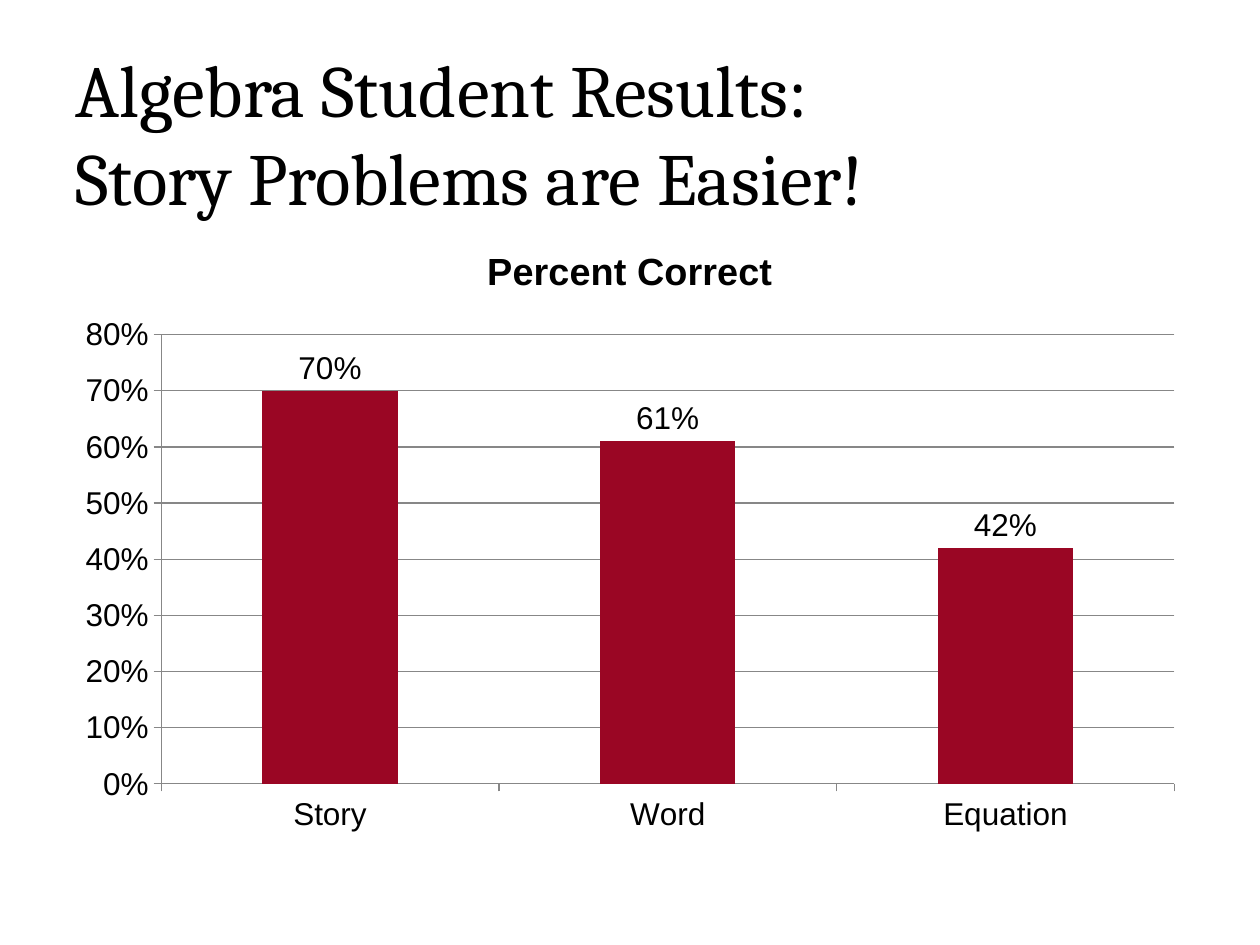
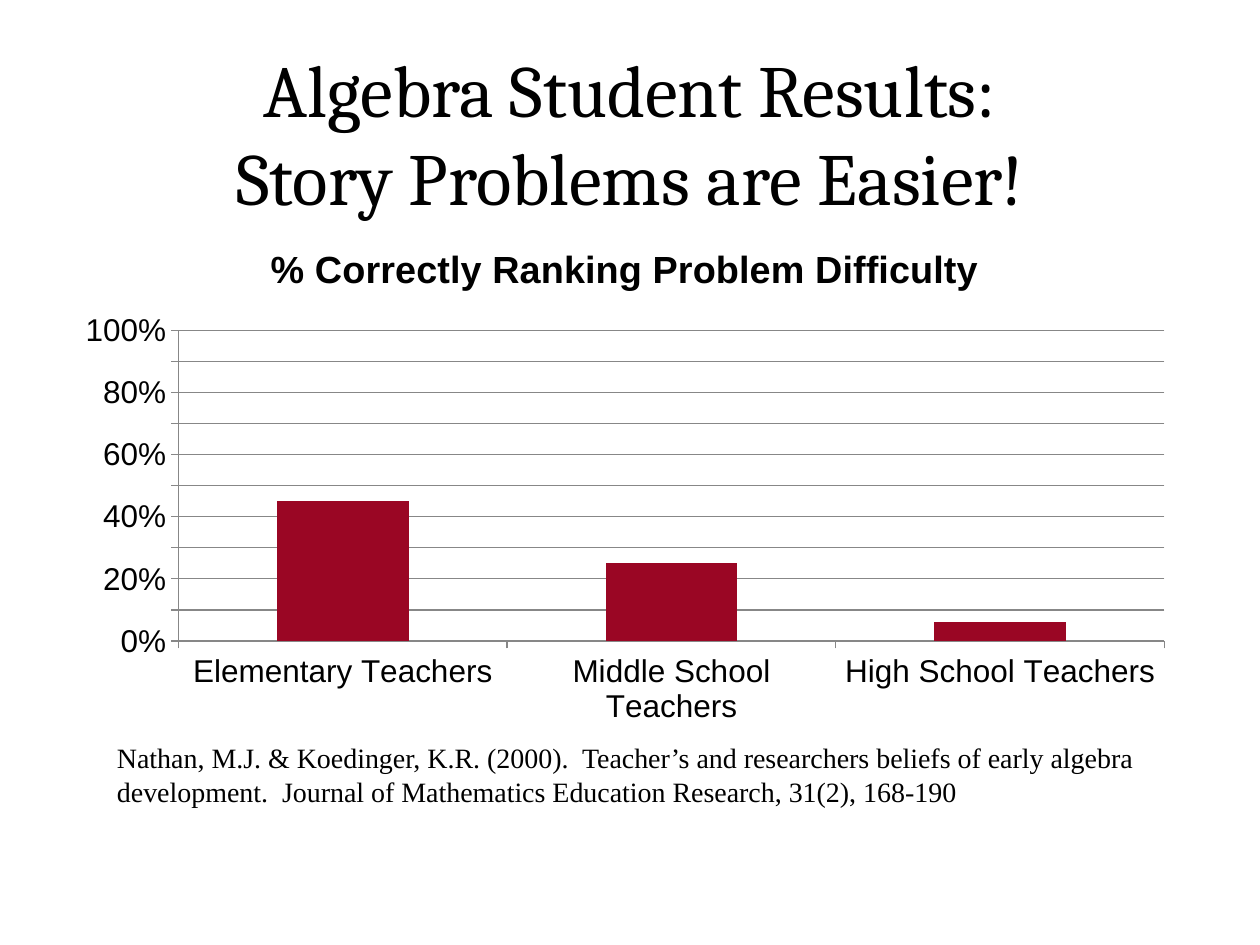
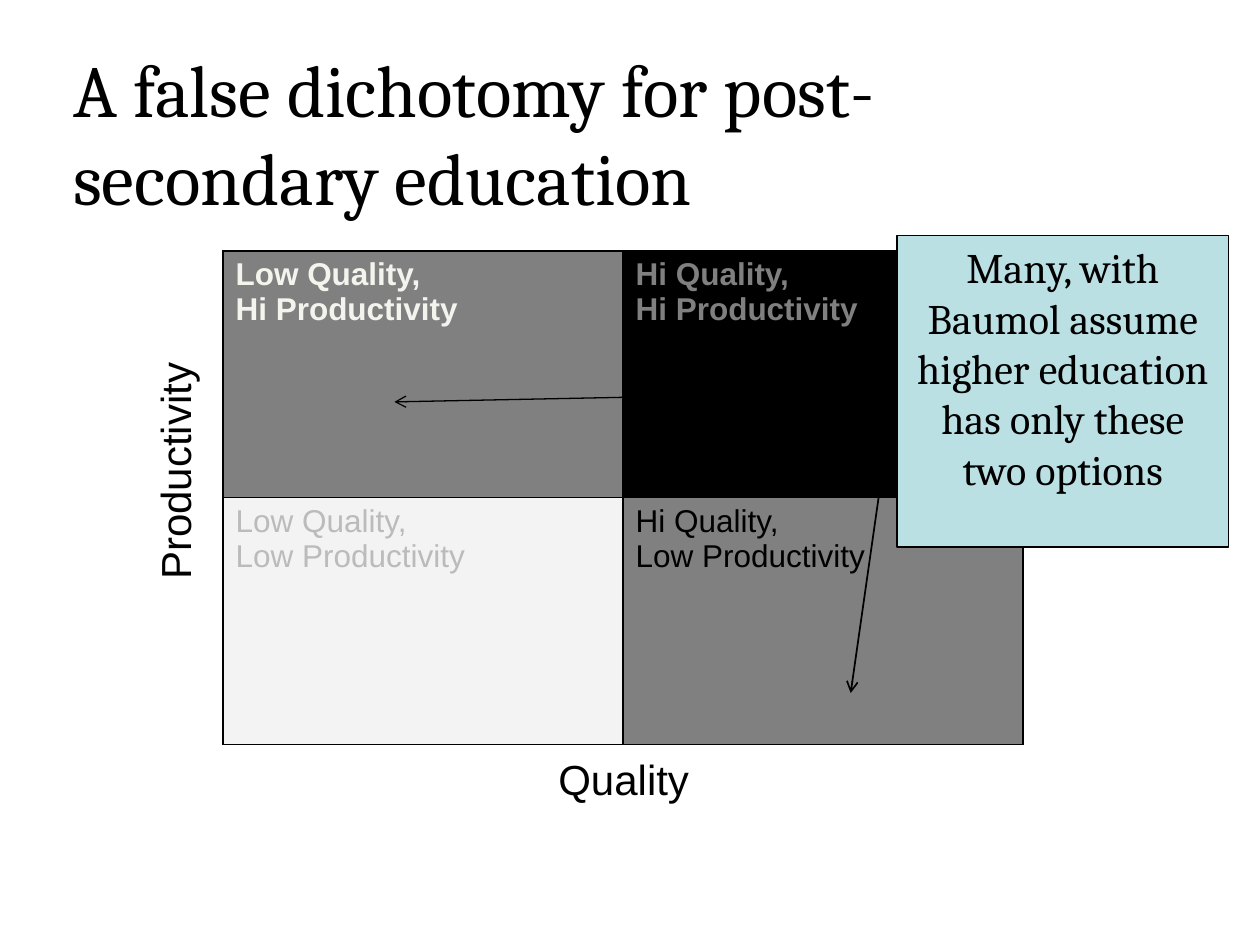
"""Build three slides on algebra results and the quality and productivity dichotomy."""
import dataclasses
import typing

import lxml.etree
import pptx
import pptx.chart.data
import pptx.dml.color
import pptx.enum.chart
import pptx.enum.shapes
import pptx.enum.text
import pptx.oxml.ns
import pptx.util

Inches = pptx.util.Inches
Pt = pptx.util.Pt
qn = pptx.oxml.ns.qn
ALIGN = pptx.enum.text.PP_ALIGN
AUTO_SIZE = pptx.enum.text.MSO_AUTO_SIZE
TOP = pptx.enum.text.MSO_ANCHOR.TOP

COLORS = {
    "ink": "000000",
    "paper": "FFFFFF",
    "bar": "9A0624",
    "grid": "878787",
    "mid_gray": "808080",
    "pale_gray": "F3F3F3",
    "faded": "BBBBBB",
    "cream": "F4F4EE",
    "callout": "BBE0E3",
}
SERIF, SANS, CITATION = "Cambria", "Arial", "Times New Roman"
RESULTS_TITLE = ("Algebra Student Results:", "Story Problems are Easier!")


class Place(typing.NamedTuple):
    left: float
    top: float
    width: float
    height: float

    def lengths(self) -> list[pptx.util.Length]:
        return [Inches(value) for value in self]


@dataclasses.dataclass(frozen=True)
class TextStyle:
    font: str
    size: float
    color: str = "ink"
    bold: bool = False
    align: ALIGN = ALIGN.LEFT


@dataclasses.dataclass(frozen=True)
class BarChart:
    title: str
    values: dict[str, float]
    place: Place
    maximum: float | None = None
    labels: bool = False


@dataclasses.dataclass(frozen=True)
class Quadrant:
    lines: tuple[str, str]
    fill: str
    color: str
    bold: bool = False


QUADRANTS = (
    (
        Quadrant(("Low Quality,", "Hi Productivity"), "mid_gray", "cream", True),
        Quadrant(("Hi Quality,", "Hi Productivity"), "ink", "mid_gray", True),
    ),
    (
        Quadrant(("Low Quality,", "Low Productivity"), "pale_gray", "faded"),
        Quadrant(("Hi Quality,", "Low Productivity"), "mid_gray", "ink"),
    ),
)


def rgb(name: str) -> pptx.dml.color.RGBColor:
    return pptx.dml.color.RGBColor.from_string(COLORS[name])


def style_font(font, style: TextStyle) -> None:
    font.name = style.font
    font.size = Pt(style.size)
    font.bold = style.bold
    font.color.rgb = rgb(style.color)


def add_span(para, text: str, style: TextStyle) -> None:
    para.alignment = style.align
    span = para.add_run()
    span.text = text
    style_font(span.font, style)


def add_page(deck, title_lines: typing.Sequence[str], place: Place, align: ALIGN = ALIGN.LEFT):
    page = deck.slides.add_slide(deck.slide_layouts[5])
    page.background.fill.solid()
    page.background.fill.fore_color.rgb = rgb("paper")
    title = page.shapes.title
    title.left, title.top, title.width, title.height = place.lengths()
    frame = title.text_frame
    frame.auto_size = AUTO_SIZE.NONE
    frame.vertical_anchor = TOP
    style = TextStyle(SERIF, 42, align=align)
    for index, line in enumerate(title_lines):
        if index:
            frame.paragraphs[0].add_line_break()
        add_span(frame.paragraphs[0], line, style)
    return page


def add_text(page, text: str, place: Place, style: TextStyle, rotation: float = 0) -> None:
    box = page.shapes.add_textbox(*place.lengths())
    box.rotation = rotation
    box.text_frame.word_wrap = True
    box.text_frame.auto_size = AUTO_SIZE.SHAPE_TO_FIT_TEXT
    add_span(box.text_frame.paragraphs[0], text, style)


def add_bar_chart(page, spec_sheet: BarChart) -> None:
    data = pptx.chart.data.CategoryChartData(number_format="0%")
    data.categories = list(spec_sheet.values)
    data.add_series(spec_sheet.title, list(spec_sheet.values.values()))
    kind = pptx.enum.chart.XL_CHART_TYPE.COLUMN_CLUSTERED
    chart = page.shapes.add_chart(kind, *spec_sheet.place.lengths(), data).chart
    style_font(chart.font, TextStyle(SANS, 18))
    chart.has_legend = False
    chart.has_title = True
    heading = TextStyle(SANS, 21.6, bold=True, align=ALIGN.CENTER)
    add_span(chart.chart_title.text_frame.paragraphs[0], spec_sheet.title, heading)
    chart.chart_title.include_in_layout = False

    plot = chart.plots[0]
    plot.gap_width = 150
    plot.vary_by_categories = False
    bars = plot.series[0]
    bars.invert_if_negative = False
    bars.format.fill.solid()
    bars.format.fill.fore_color.rgb = rgb("bar")
    if spec_sheet.labels:
        plot.has_data_labels = True
        labels = plot.data_labels
        labels.show_value = True
        labels.number_format = "0%"
        labels.number_format_is_linked = False
        labels.position = pptx.enum.chart.XL_LABEL_POSITION.OUTSIDE_END

    value_axis = chart.value_axis
    value_axis.has_major_gridlines = True
    value_axis.tick_labels.number_format = "0%"
    value_axis.tick_labels.number_format_is_linked = False
    if spec_sheet.maximum is not None:
        value_axis.maximum_scale = spec_sheet.maximum
    for axis in (chart.category_axis, value_axis):
        axis.major_tick_mark = pptx.enum.chart.XL_TICK_MARK.OUTSIDE
    for part in (chart.category_axis, value_axis, value_axis.major_gridlines):
        part.format.line.color.rgb = rgb("grid")
        part.format.line.width = Pt(0.75)


def add_borders(cell) -> None:
    properties = cell._tc.get_or_add_tcPr()
    for side in ("lnL", "lnR", "lnT", "lnB"):
        line = lxml.etree.SubElement(properties, qn(f"a:{side}"), w=str(Pt(1)))
        fill = lxml.etree.SubElement(line, qn("a:solidFill"))
        lxml.etree.SubElement(fill, qn("a:srgbClr"), val=COLORS["ink"])


def add_quadrants(page, place: Place) -> None:
    table = page.shapes.add_table(2, 2, *place.lengths()).table
    table.first_row = table.horz_banding = False
    for row, quadrants in enumerate(QUADRANTS):
        for column, quadrant in enumerate(quadrants):
            cell = table.cell(row, column)
            add_borders(cell)
            cell.fill.solid()
            cell.fill.fore_color.rgb = rgb(quadrant.fill)
            style = TextStyle(SANS, 18, quadrant.color, quadrant.bold)
            frame = cell.text_frame
            for index, line in enumerate(quadrant.lines):
                para = frame.add_paragraph() if index else frame.paragraphs[0]
                add_span(para, line, style)


def draw_arrow_line(shape, width: float) -> None:
    shape.line.color.rgb = rgb("ink")
    shape.line.width = Pt(width)
    line = shape.element.spPr.find(qn("a:ln"))
    lxml.etree.SubElement(line, qn("a:tailEnd"), type="arrow")


def add_callout(page, text: str, place: Place, pointer: typing.Sequence[float]) -> None:
    kind = pptx.enum.shapes.MSO_SHAPE.LINE_CALLOUT_1
    callout = page.shapes.add_shape(kind, *place.lengths())
    for index, value in enumerate(pointer):
        callout.adjustments[index] = value
    callout.fill.solid()
    callout.fill.fore_color.rgb = rgb("callout")
    draw_arrow_line(callout, 1)
    callout.shadow.inherit = False
    callout.text_frame.word_wrap = True
    callout.text_frame.vertical_anchor = TOP
    add_span(callout.text_frame.paragraphs[0], text, TextStyle(SERIF, 24, align=ALIGN.CENTER))


def add_arrow(page, start: tuple[float, float], end: tuple[float, float]) -> None:
    ends = [Inches(value) for value in (*start, *end)]
    arrow = page.shapes.add_connector(pptx.enum.shapes.MSO_CONNECTOR.STRAIGHT, *ends)
    draw_arrow_line(arrow, 0.75)
    lxml.etree.SubElement(arrow.element.spPr, qn("a:effectLst"))


def add_student_results(deck) -> None:
    page = add_page(deck, RESULTS_TITLE, Place(0.5, 0.3, 9, 1.25))
    values = {"Story": 0.7, "Word": 0.61, "Equation": 0.42}
    place = Place(0.5, 1.75, 9, 4.95)
    add_bar_chart(page, BarChart("Percent Correct", values, place, labels=True))


def add_teacher_rankings(deck) -> None:
    page = add_page(deck, RESULTS_TITLE, Place(0.5, 0.3, 9, 1.25), ALIGN.CENTER)
    values = {
        "Elementary Teachers": 0.45,
        "Middle School Teachers": 0.25,
        "High School Teachers": 0.06,
    }
    place = Place(0.5, 1.75, 8.92, 4.08)
    title = "% Correctly Ranking Problem Difficulty"
    add_bar_chart(page, BarChart(title, values, place, maximum=1))
    citation = (
        "Nathan, M.J. & Koedinger, K.R. (2000).  Teacher’s and researchers beliefs of early "
        "algebra development.  Journal of Mathematics Education Research, 31(2), 168-190"
    )
    add_text(page, citation, Place(0.83, 5.83, 8.42, 0.64), TextStyle(CITATION, 16))


def add_dichotomy(deck) -> None:
    title = "A false dichotomy for post-secondary education"
    page = add_page(deck, [title], Place(0.48, 0.3, 8.5, 1.08))
    add_quadrants(page, Place(1.77, 1.99, 6.35, 3.92))
    axis_style = TextStyle(SANS, 24, align=ALIGN.CENTER)
    add_text(page, "Quality", Place(2.28, 5.93, 5.34, 0.51), axis_style)
    add_text(page, "Productivity", Place(-0.11, 3.49, 2.99, 0.5), axis_style, 270)
    message = "Many, with Baumol assume higher education has only these two options"
    add_callout(page, message, Place(7.12, 1.87, 2.63, 2.47), (0.5, -0.01, 1.47, -0.14))
    add_arrow(page, (7.12, 3.11), (3.13, 3.19))


def main() -> None:
    deck = pptx.Presentation()
    deck.slide_width, deck.slide_height = Inches(10), Inches(7.5)
    add_student_results(deck)
    add_teacher_rankings(deck)
    add_dichotomy(deck)
    deck.save("out.pptx")


if __name__ == "__main__":
    main()
